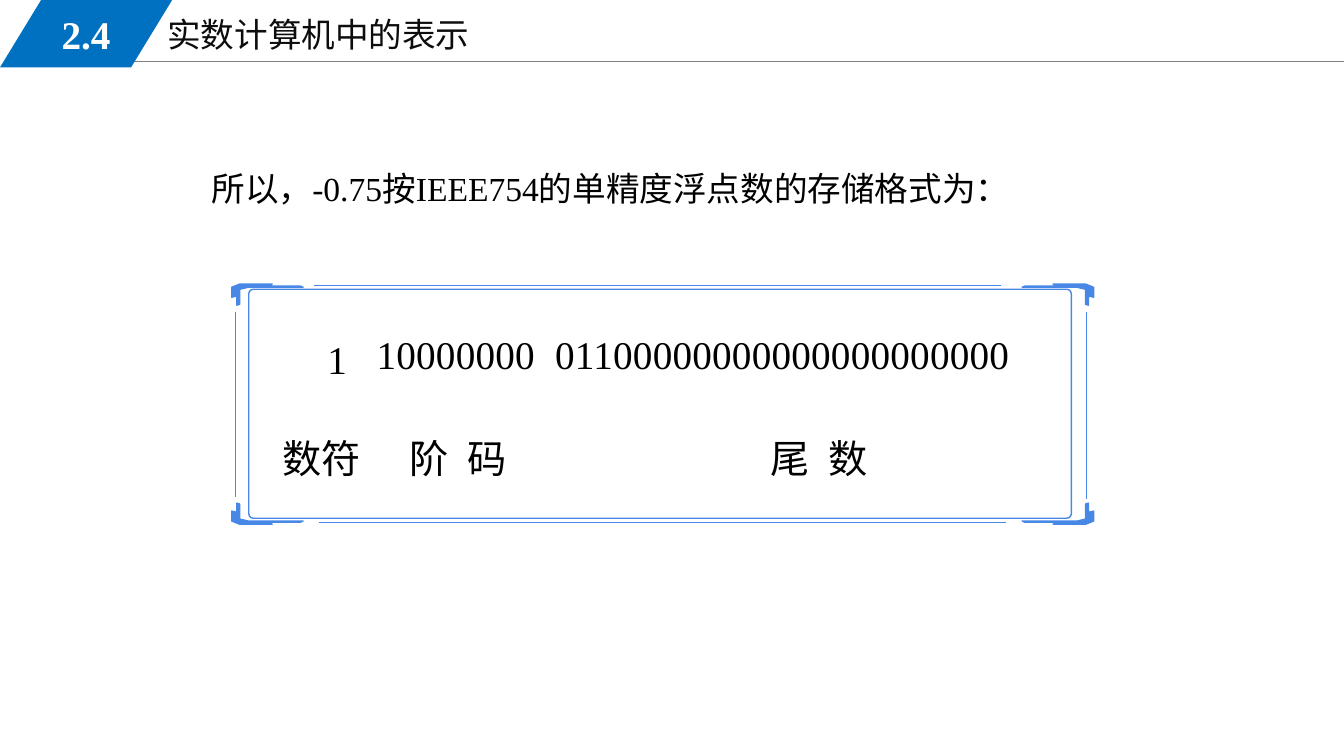
from dataclasses import dataclass
from itertools import product

from lxml.etree import SubElement
from pptx import Presentation
from pptx.dml.color import RGBColor as Rgb
from pptx.enum.shapes import MSO_CONNECTOR as Link, MSO_SHAPE as Preset
from pptx.enum.text import MSO_ANCHOR as Anchor, MSO_AUTO_SIZE as AutoSize, PP_ALIGN as Align
from pptx.oxml.ns import qn
from pptx.util import Cm, Pt


@dataclass(frozen=True)
class Theme:
    latin: str = "Times New Roman"
    chinese: str = "Noto Sans CJK SC"
    ink: Rgb = Rgb(0x00, 0x00, 0x00)
    heading: Rgb = Rgb(0x0D, 0x0D, 0x0D)
    paper: Rgb = Rgb(0xFF, 0xFF, 0xFF)
    badge: Rgb = Rgb(0x00, 0x70, 0xC0)
    rule: Rgb = Rgb(0x7F, 0x7F, 0x7F)
    frame: Rgb = Rgb(0x47, 0x88, 0xE6)
    text_size: int = 24
    large_size: int = 28
    rule_width: float = 0.75
    frame_width: float = 1


class SlideBuilder:
    def __init__(self, slide, theme):
        self.slide = slide
        self.shapes = slide.shapes
        self.theme = theme

    def add_text(self, paragraph, text, size, color, bold=False, spacing=0):
        run = paragraph.add_run()
        run.text = text
        run.font.size = Pt(size)
        run.font.bold = bold
        run.font.color.rgb = color
        run.font.name = self.theme.latin
        properties = run._r.get_or_add_rPr()
        SubElement(properties, qn("a:ea")).set("typeface", self.theme.chinese)
        if spacing:
            properties.set("spc", str(round(spacing * 100)))

    def title(self, text, left, top, width, height):
        heading = self.shapes.title
        heading.left, heading.top = Cm(left), Cm(top)
        heading.width, heading.height = Cm(width), Cm(height)
        frame = heading.text_frame
        frame.auto_size = AutoSize.NONE
        frame.word_wrap = False
        frame.vertical_anchor = Anchor.TOP
        frame.paragraphs[0].alignment = Align.LEFT
        self.add_text(frame.paragraphs[0], text, self.theme.text_size, self.theme.heading)

    def badge(self, text, width, height, slant):
        badge = self.shapes.add_shape(Preset.PARALLELOGRAM, 0, 0, Cm(width), Cm(height))
        badge.adjustments[0] = slant
        badge.shadow.inherit = False
        badge.fill.solid()
        badge.fill.fore_color.rgb = self.theme.badge
        badge.line.fill.background()
        frame = badge.text_frame
        frame.word_wrap = False
        frame.vertical_anchor = Anchor.MIDDLE
        frame.paragraphs[0].alignment = Align.CENTER
        self.add_text(frame.paragraphs[0], text, self.theme.large_size, self.theme.paper, bold=True)

    def sentence(self, text, left, top, width, height, indent):
        box = self.shapes.add_textbox(Cm(left), Cm(top), Cm(width), Cm(height))
        frame = box.text_frame
        frame.word_wrap = True
        paragraph = frame.paragraphs[0]
        paragraph.line_spacing = 1.25
        paragraph.space_before = Pt(6)
        paragraph._p.get_or_add_pPr().set("indent", str(Cm(indent)))
        self.add_text(paragraph, text, self.theme.text_size, self.theme.ink)

    def line(self, x1, y1, x2, y2, color, width):
        line = self.shapes.add_connector(Link.STRAIGHT, Cm(x1), Cm(y1), Cm(x2), Cm(y2))
        line.line.color.rgb = color
        line.line.width = Pt(width)
        SubElement(line._element.spPr, qn("a:effectLst"))

    def table(self, rows, left, top, widths, heights):
        table = self.shapes.add_table(
            len(heights), len(widths), Cm(left), Cm(top), Cm(sum(widths)), Cm(sum(heights))
        ).table
        table.first_row = table.horz_banding = False
        for column, width in zip(table.columns, widths):
            column.width = Cm(width)
        for row, height, entries in zip(table.rows, heights, rows):
            row.height = Cm(height)
            for cell, (text, align, anchor, margin, spacing) in zip(row.cells, entries):
                cell.fill.background()
                cell.vertical_anchor = anchor
                cell.margin_left, cell.margin_right = Cm(margin), Cm(0.2)
                cell.margin_top = cell.margin_bottom = 0
                paragraph = cell.text_frame.paragraphs[0]
                paragraph.alignment = align
                self.add_text(paragraph, text, self.theme.large_size, self.theme.ink, spacing=spacing)

    def frame_outline(self, shape):
        shape.shadow.inherit = False
        shape.line.color.rgb = self.theme.frame
        shape.line.width = Pt(self.theme.frame_width)

    def panel(self, left, top, width, height, rounding):
        panel = self.shapes.add_shape(
            Preset.ROUNDED_RECTANGLE, Cm(left), Cm(top), Cm(width), Cm(height)
        )
        panel.adjustments[0] = rounding
        panel.fill.background()
        self.frame_outline(panel)

    def corner(self, x, y, x_sign, y_sign, outline):
        points = [(Cm(x + x_sign * dx), Cm(y + y_sign * dy)) for dx, dy in outline]
        builder = self.shapes.build_freeform(*points[0])
        builder.add_line_segments(points[1:], close=True)
        corner = builder.convert_to_shape()
        corner.fill.solid()
        corner.fill.fore_color.rgb = self.theme.frame
        self.frame_outline(corner)


CORNER_OUTLINE = [
    (0.2, 0), (1.02, 0), (0.91, 0.05), (1.73, 0.05), (1.8, 0.08), (0.41, 0.08),
    (0.2, 0.13), (0.2, 0.51), (0.13, 0.53), (0.13, 0.3), (0, 0.33), (0, 0.08),
]
FRAME_EDGES = [
    (7.92, 7.19, 25.22, 7.19),
    (8.05, 13.16, 25.35, 13.16),
    (5.94, 7.85, 5.94, 12.52),
    (27.38, 7.87, 27.38, 12.57),
]
FLOAT_FIELDS = [
    [
        ("1", Align.LEFT, Anchor.MIDDLE, 1.98, 0.2),
        ("10000000", Align.LEFT, Anchor.TOP, 0.2, 0.2),
        ("01100000000000000000000", Align.LEFT, Anchor.TOP, 0.2, 0.2),
    ],
    [
        ("数符", Align.RIGHT, Anchor.MIDDLE, 0.2, 0.2),
        ("阶 码", Align.CENTER, Anchor.MIDDLE, 0.2, 3.5),
        ("尾 数", Align.CENTER, Anchor.MIDDLE, 0.86, 3.5),
    ],
]


def main():
    deck = Presentation()
    deck.slide_width, deck.slide_height = Cm(33.87), Cm(19.05)
    theme = Theme()
    page = SlideBuilder(deck.slides.add_slide(deck.slide_layouts[5]), theme)

    page.line(2.87, 1.55, 33.87, 1.55, theme.rule, theme.rule_width)
    page.title("实数计算机中的表示", 3.96, 0.23, 8.41, 1.3)
    page.badge("2.4", 4.34, 1.7, 0.61)
    page.sentence("所以，-0.75按IEEE754的单精度浮点数的存储格式为：", 3.33, 3.84, 29.54, 1.42, 1.75)
    page.table(FLOAT_FIELDS, 6.27, 8.43, [3.02, 4.5, 13.03], [1.32, 3.48])

    page.panel(6.27, 7.29, 20.73, 5.77, 0.02)
    for (x, x_sign), (y, y_sign) in product([(5.84, 1), (27.56, -1)], [(7.16, 1), (13.21, -1)]):
        page.corner(x, y, x_sign, y_sign, CORNER_OUTLINE)
    for edge in FRAME_EDGES:
        page.line(*edge, theme.frame, theme.frame_width)

    deck.save("out.pptx")


if __name__ == "__main__":
    main()
